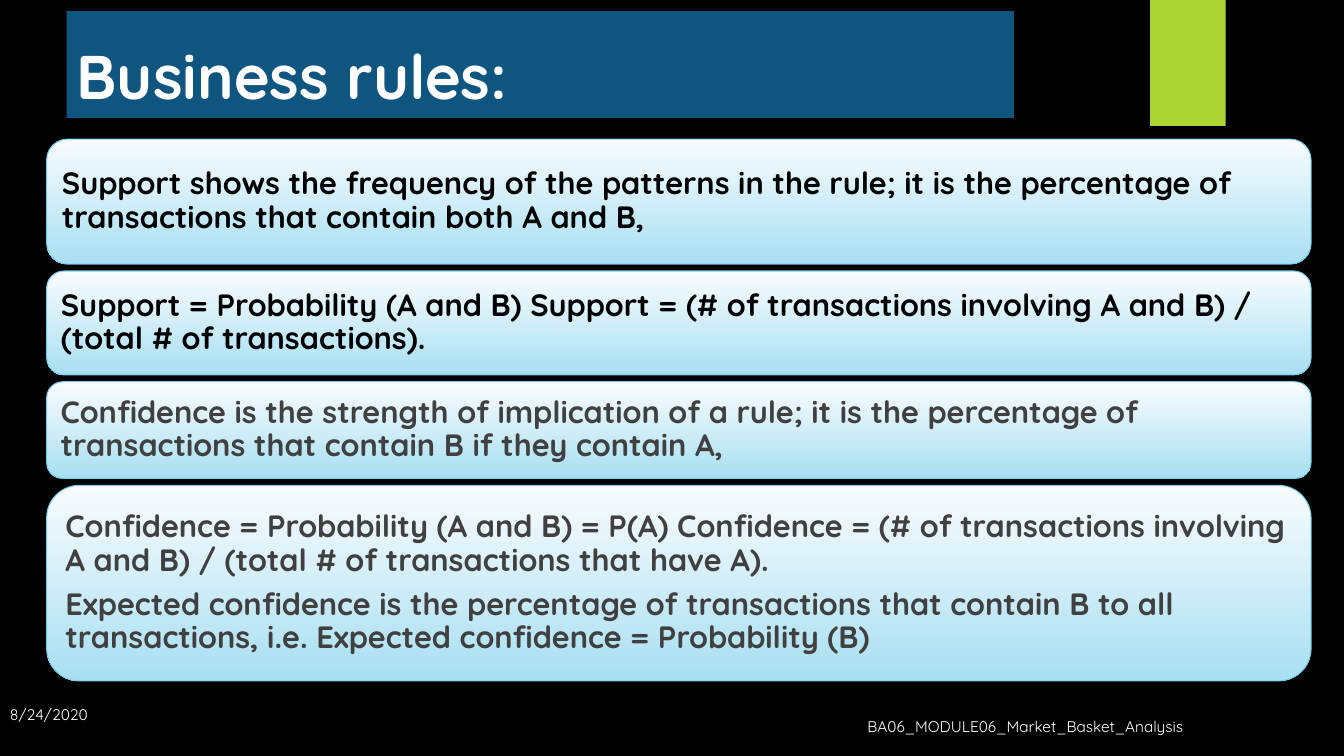
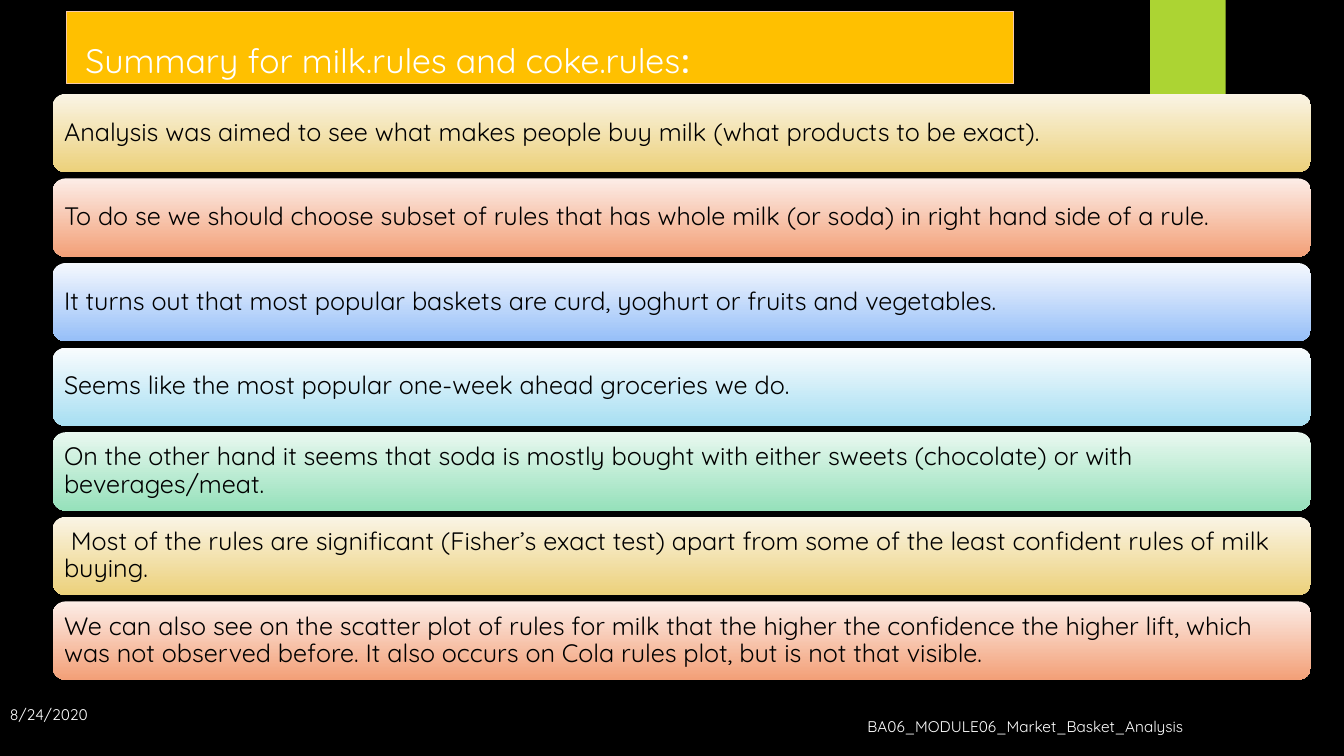
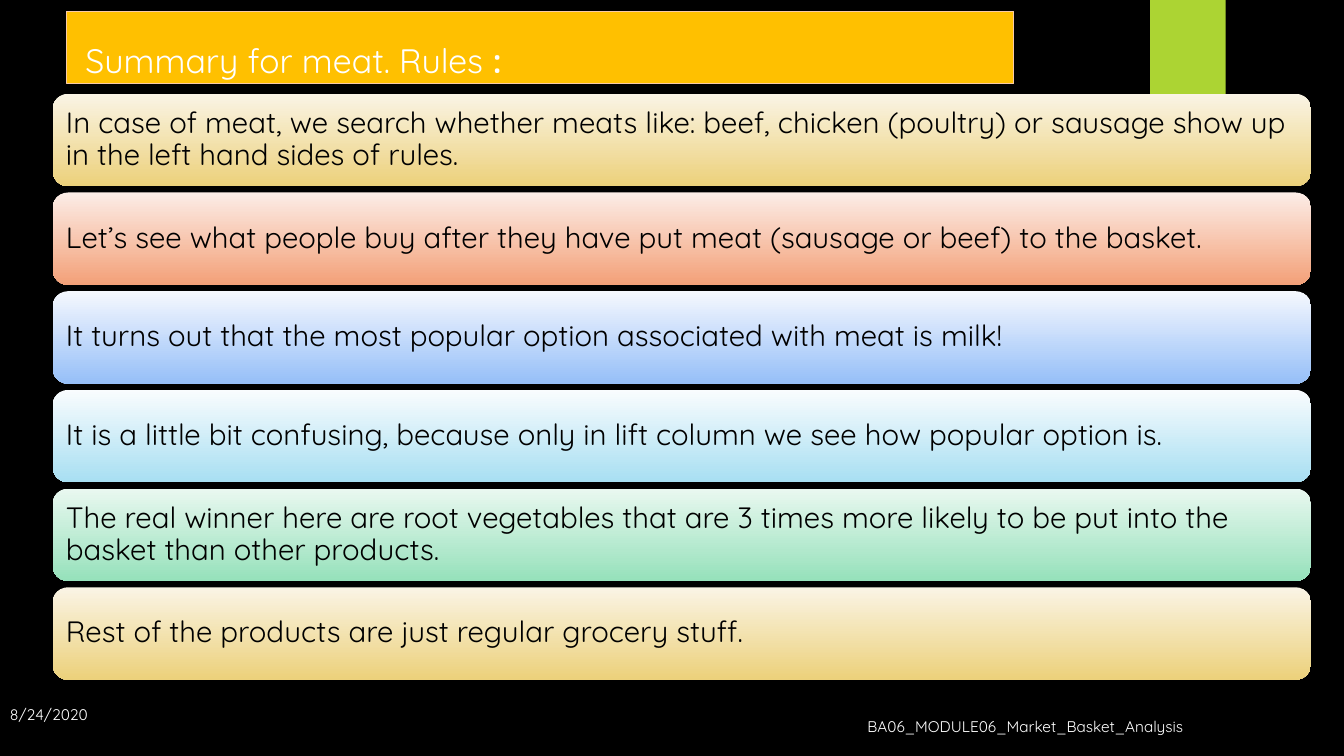
from pptx import Presentation
from pptx.dml.color import RGBColor
from pptx.enum.shapes import MSO_SHAPE
from pptx.enum.text import MSO_ANCHOR, MSO_AUTO_SIZE, PP_ALIGN
from pptx.util import Pt

RECTANGLE, ROUNDED = MSO_SHAPE.RECTANGLE, MSO_SHAPE.ROUNDED_RECTANGLE
TOP, MIDDLE, BOTTOM = MSO_ANCHOR.TOP, MSO_ANCHOR.MIDDLE, MSO_ANCHOR.BOTTOM
LEFT = PP_ALIGN.LEFT
NO_AUTOFIT = MSO_AUTO_SIZE.NONE

FONT = "Quicksand"
BLACK = RGBColor(0x00, 0x00, 0x00)
WHITE = RGBColor(0xFF, 0xFF, 0xFF)
GREY = RGBColor(0x40, 0x40, 0x40)
LIME = RGBColor(0xAC, 0xD4, 0x33)
BLUE = RGBColor(0x0E, 0x55, 0x80)
AMBER = RGBColor(0xFF, 0xC0, 0x00)
PEACH = RGBColor(0xF9, 0xCA, 0xA7)
SKY_LINE = RGBColor(0x75, 0xCE, 0xEC)

# Top and bottom colour of each band gradient
GOLD_FADE = (RGBColor(0xFA, 0xF4, 0xE5), RGBColor(0xEC, 0xD1, 0x7B))
CORAL_FADE = (RGBColor(0xFC, 0xED, 0xE7), RGBColor(0xF3, 0xA0, 0x78))
BLUE_FADE = (RGBColor(0xF5, 0xF8, 0xFE), RGBColor(0x96, 0xBF, 0xF8))
SKY_FADE = (RGBColor(0xF9, 0xFC, 0xFE), RGBColor(0xA8, 0xDF, 0xF2))
GREEN_FADE = (RGBColor(0xE9, 0xF8, 0xF0), RGBColor(0x96, 0xE1, 0xBB))
FADES = (GOLD_FADE, CORAL_FADE, BLUE_FADE, SKY_FADE, GREEN_FADE)

BAND_RIGHT = 936.5
SUMMARY_TOP, SUMMARY_BOTTOM = 67, 485.5
BAND_GAP = 4.5

# Left, width, anchor and text of the two footers
FOOTERS = (
    (0, 282, TOP, "8/24/2020"),
    (612.5, 324, BOTTOM, "BA06_MODULE06_Market_Basket_Analysis"),
)


def style_paragraph(paragraph, size, color, bold=False, line_spacing=1.0):
    paragraph.alignment = LEFT
    paragraph.line_spacing = line_spacing
    paragraph.font.name = FONT
    paragraph.font.size = Pt(size)
    paragraph.font.bold = bold
    paragraph.font.color.rgb = color


def add_band(page, left, top, height, fade, line_color, texts, size, color, bold):
    band = page.shapes.add_shape(
        ROUNDED, Pt(left), Pt(top), Pt(BAND_RIGHT - left), Pt(height))
    band.shadow.inherit = False
    band.fill.gradient()
    band.fill.gradient_angle = 270
    for stop, stop_color in zip(band.fill.gradient_stops, fade):
        stop.color.rgb = stop_color
    if line_color is None:
        band.line.fill.background()
    else:
        band.line.color.rgb = line_color
        band.line.width = Pt(0.75)
    frame = band.text_frame
    frame.word_wrap = True
    frame.vertical_anchor = MIDDLE
    inset = Pt(0.3 * size)
    frame.margin_left = frame.margin_right = inset
    frame.margin_top = frame.margin_bottom = inset
    frame.text = "\n".join(texts)
    for index, paragraph in enumerate(frame.paragraphs):
        style_paragraph(paragraph, size, color, bold, 0.9)
        if index:
            paragraph.space_before = Pt(0.35 * size)


deck = Presentation()
deck.slide_width, deck.slide_height = Pt(960), Pt(540)
background = deck.slide_master.background.fill
background.solid()
background.fore_color.rgb = BLACK
title_only = deck.slide_layouts[5]

# Title runs, fill, line, height, left inset, size, bold and line spacing
TITLES = (
    (("Business rules:",), BLUE, None, 76.3, 7.2, 44, True, 0.9),
    (("Summary for milk.rules and coke.rules", ":"),
     AMBER, PEACH, 52, 13.5, 24.2, False, 0.7),
    (("Summary for meat. Rules ", ":"),
     AMBER, PEACH, 52, 13.5, 24.2, False, 0.7),
)

# Shared parts: lime tab, footers and title bar
pages = []
for spans, fill, line, height, inset, size, bold, spacing in TITLES:
    page = deck.slides.add_slide(title_only)
    pages.append(page)

    tab = page.shapes.add_shape(RECTANGLE, Pt(821.5), 0, Pt(54), Pt(90))
    tab.shadow.inherit = False
    tab.fill.solid()
    tab.fill.fore_color.rgb = LIME
    tab.line.fill.background()

    for left, width, anchor, text in FOOTERS:
        box = page.shapes.add_textbox(Pt(left), Pt(500.4), Pt(width), Pt(28.8))
        box.text_frame.word_wrap = True
        box.text_frame.vertical_anchor = anchor
        box.text_frame.text = text
        style_paragraph(box.text_frame.paragraphs[0], 11, WHITE)

    title = page.shapes.title
    title.left, title.top = Pt(47.5), Pt(8)
    title.width, title.height = Pt(676.8), Pt(height)
    title.fill.solid()
    title.fill.fore_color.rgb = fill
    if line is not None:
        title.line.color.rgb = line
        title.line.width = Pt(0.75)
    frame = title.text_frame
    frame.auto_size = NO_AUTOFIT
    frame.vertical_anchor = BOTTOM
    frame.margin_left = Pt(inset)
    para = frame.paragraphs[0]
    style_paragraph(para, size, WHITE, bold, spacing)
    for index, text in enumerate(spans):
        span = para.add_run()
        span.text = text
        if index:
            span.font.bold = True

rules_page, milk_page, meat_page = pages

# Business rules: height, text colour and paragraphs of each band
RULES = (
    (89.3, BLACK, (
        "Support shows the frequency of the patterns in the rule; it is the "
        "percentage of transactions that contain both A and B,",)),
    (74.2, BLACK, (
        "Support = Probability (A and B) Support = (# of transactions "
        "involving A and B) / (total # of transactions).",)),
    (69.1, GREY, (
        "Confidence is the strength of implication of a rule; it is the "
        "percentage of transactions that contain B if they contain A,",)),
    (139.7, GREY, (
        "Confidence = Probability (A and B) = P(A) Confidence = (# of "
        "transactions involving A and B) / (total # of transactions that have A).",
        "Expected confidence is the percentage of transactions that contain B "
        "to all transactions, i.e. Expected confidence = Probability (B)")),
)
top = 99.4
for height, color, texts in RULES:
    add_band(rules_page, 33.3, top, height, SKY_FADE, SKY_LINE, texts, 22, color, True)
    top += height + 4.9

# Summaries: equal bands that share the same area
MILK_NOTES = (
    "Analysis was aimed to see what makes people buy milk (what products to be exact).",
    "To do se we should choose subset of rules that has whole milk (or soda) "
    "in right hand side of a rule.",
    "It turns out that most popular baskets are curd, yoghurt or fruits and vegetables.",
    "Seems like the most popular one-week ahead groceries we do.",
    "On the other hand it seems that soda is mostly bought with either sweets "
    "(chocolate) or with beverages/meat.",
    " Most of the rules are significant (Fisher’s exact test) apart from some "
    "of the least confident rules of milk buying.",
    "We can also see on the scatter plot of rules for milk that the higher the "
    "confidence the higher lift, which was not observed before. It also occurs "
    "on Cola rules plot, but is not that visible.",
)
MEAT_NOTES = (
    "In case of meat, we search whether meats like: beef, chicken (poultry) or "
    "sausage show up in the left hand sides of rules.",
    "Let’s see what people buy after they have put meat (sausage or beef) to the basket.",
    "It turns out that the most popular option associated with meat is milk!",
    "It is a little bit confusing, because only in lift column we see how "
    "popular option is.",
    "The real winner here are root vegetables that are 3 times more likely to "
    "be put into the basket than other products.",
    "Rest of the products are just regular grocery stuff.",
)
for page, notes, size in ((milk_page, MILK_NOTES, 18), (meat_page, MEAT_NOTES, 21)):
    pitch = (SUMMARY_BOTTOM - SUMMARY_TOP + BAND_GAP) / len(notes)
    for index, note in enumerate(notes):
        add_band(page, 37.6, SUMMARY_TOP + index * pitch, pitch - BAND_GAP,
                 FADES[index % len(FADES)], None, (note,), size, BLACK, False)

deck.save("out.pptx")
